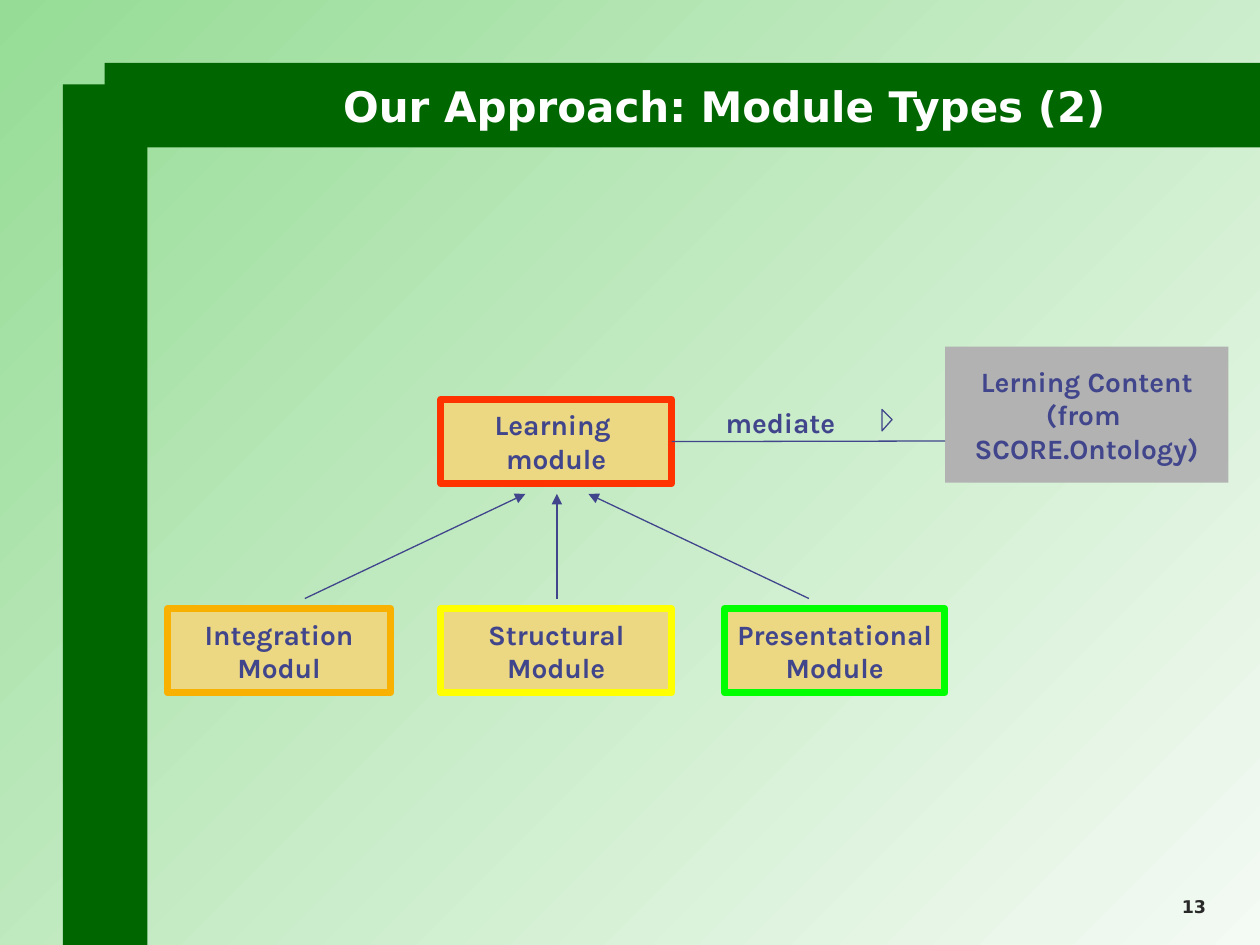
from lxml.etree import SubElement
from pptx import Presentation
from pptx.dml.color import RGBColor
from pptx.enum.shapes import MSO_CONNECTOR as Connector, MSO_SHAPE as Shape
from pptx.enum.text import MSO_ANCHOR as Anchor, MSO_AUTO_SIZE as AutoSize, PP_ALIGN as Align
from pptx.oxml.ns import qn
from pptx.util import Inches, Pt

GREEN, INK, SAND, GREY = "006600", "40458C", "ECD882", "B2B2B2"
LABEL = {"name": "Karla", "size": Pt(16), "bold": True, "color": INK}
TITLE = {"name": "DejaVu Sans", "size": Pt(24), "bold": True, "color": "FFFFFF"}
NUMBER = {"name": "DejaVu Sans", "size": Pt(10), "bold": True, "color": "292929"}


def rgb(value):
    return RGBColor.from_string(value)


def inches(*lengths):
    return [Inches(length) for length in lengths]


def write(shape, text, font, align=Align.CENTER, anchor=Anchor.MIDDLE, wrap=False):
    frame = shape.text_frame
    frame.text = text
    frame.word_wrap = wrap
    frame.vertical_anchor = anchor
    for paragraph in frame.paragraphs:
        paragraph.alignment = align
        for run in paragraph.runs:
            for key, value in font.items():
                if key == "color":
                    run.font.color.rgb = rgb(value)
                else:
                    setattr(run.font, key, value)


def add_box(slide, box, fill, border=None):
    shape = slide.shapes.add_shape(Shape.RECTANGLE, *inches(*box))
    shape.shadow.inherit = False
    shape.fill.solid()
    shape.fill.fore_color.rgb = rgb(fill)
    if border:
        shape.line.color.rgb = rgb(border)
        shape.line.width = Pt(4)
    else:
        shape.line.fill.background()
    return shape


def add_line(slide, start, end, arrow=False):
    line = slide.shapes.add_connector(Connector.STRAIGHT, *inches(*start, *end))
    line.line.color.rgb = rgb(INK)
    line.line.width = Pt(0.75)
    if arrow:
        SubElement(line.line._get_or_add_ln(), qn("a:tailEnd"), type="triangle")
    SubElement(line._element.spPr, qn("a:effectLst"))
    return line


def paint_background(slide):
    fill = slide.background.fill
    fill.gradient()
    fill.gradient_angle = 135
    for stop, color in zip(fill.gradient_stops, ("F4FAF4", "96DC96")):
        stop.color.rgb = rgb(color)


def add_header(slide, box):
    """Title over a horizontal bar that crosses a vertical one."""
    left, top, width, height = box
    title = slide.shapes.title
    bars = [(left, top, width, height), (left - 0.33, top + 0.17, 0.67, 6.83)]
    for bar in bars:
        title.element.addprevious(add_box(slide, bar, GREEN).element)
    title.left, title.top, title.width, title.height = inches(
        left + 0.67, top - 0.08, width - 0.67, height + 0.16)
    write(title, "Our Approach: Module Types (2)", TITLE, wrap=True)


def add_module_tree(slide, box):
    """Three module types pointing up to the learning module, which is returned."""
    left, top, width, height = box
    row_height = 0.67
    row_top = top + height - row_height
    center = left + 3.09

    learning = add_box(slide, (left + 2.17, top, 1.83, row_height), SAND, "FF3300")
    write(learning, "Learning \nmodule", LABEL)

    module_types = [
        ("Integration\nModul", 0, 1.77, "F8B100"),
        ("Structural\nModule", 2.17, 1.83, "FFFF00"),
        ("Presentational\nModule", width - 1.75, 1.75, "00FF00"),
    ]
    for side, (text, offset, box_width, border) in enumerate(module_types, start=-1):
        module = add_box(slide, (left + offset, row_top, box_width, row_height), SAND, border)
        write(module, text, LABEL)
        add_line(slide, (center + 2 * side, row_top - 0.08),
                 (center + 0.25 * side, top + row_height + 0.08), arrow=True)
    return learning


def add_mediation(slide, box, learning):
    """Learning content, linked to the learning module by a labelled line."""
    left, top, width, height = box
    content = add_box(slide, (left + width - 2.25, top, 2.25, height), GREY)
    write(content, "Lerning Content\n(from \vSCORE.Ontology)", LABEL)

    link_y = top + 0.75
    link = add_line(slide, (left, link_y), (left + width - 2.25, link_y))
    link.begin_connect(learning, 3)

    label = slide.shapes.add_textbox(*inches(left + 0.33, top + 0.42, 1.12, 0.37))
    write(label, "mediate", LABEL, Align.LEFT, Anchor.TOP)
    label.text_frame.auto_size = AutoSize.SHAPE_TO_FIT_TEXT

    tip_x, tip_y = left + 1.67, top + 0.5
    outline = slide.shapes.build_freeform(*inches(tip_x, tip_y))
    outline.add_line_segments(
        [inches(tip_x + 0.08, tip_y + 0.08), inches(tip_x, tip_y + 0.17)], close=True)
    direction = outline.convert_to_shape()
    direction.shadow.inherit = False
    direction.fill.background()
    direction.line.color.rgb = rgb(INK)
    direction.line.width = Pt(0.75)


def add_page_number(slide, box):
    number = slide.shapes.add_textbox(*inches(*box))
    write(number, "13", NUMBER, Align.RIGHT, Anchor.BOTTOM, wrap=True)


def main():
    deck = Presentation()
    deck.slide_width, deck.slide_height = inches(10, 7.5)
    slide = deck.slides.add_slide(deck.slide_layouts[5])
    paint_background(slide)
    add_header(slide, (0.83, 0.5, 9.17, 0.67))
    learning = add_module_tree(slide, (1.33, 3.17, 6.17, 2.33))
    add_mediation(slide, (5.33, 2.75, 4.42, 1.08), learning)
    add_page_number(slide, (8.75, 6.83, 0.92, 0.5))
    deck.save("out.pptx")


if __name__ == "__main__":
    main()
